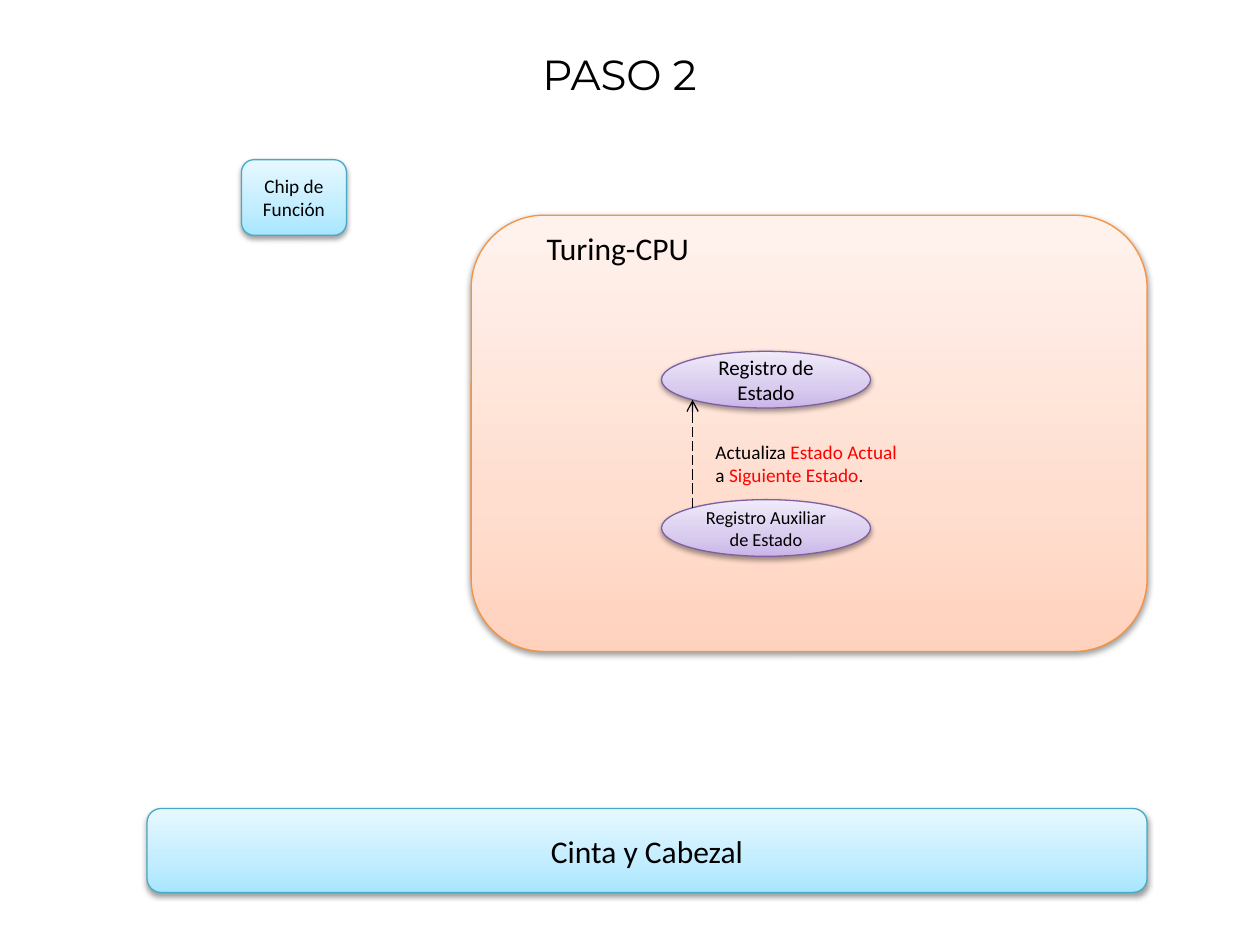
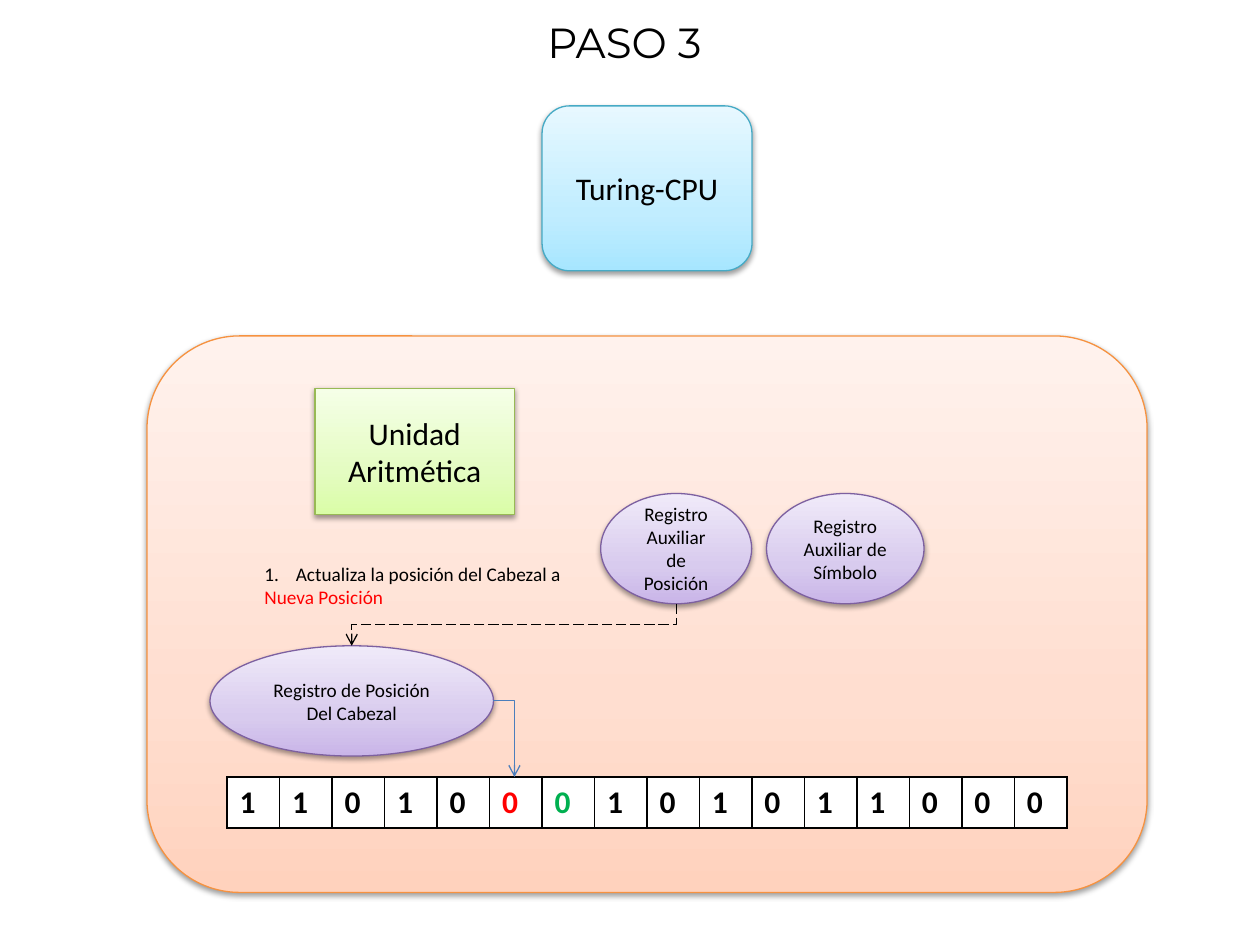
import copy
import pptx
import pptx.dml.color
import pptx.enum.dml
import pptx.enum.shapes
import pptx.enum.text
import pptx.oxml
import pptx.oxml.ns
import pptx.util
from lxml import etree

Pt = pptx.util.Pt
RGBColor = pptx.dml.color.RGBColor
Preset = pptx.enum.shapes.MSO_SHAPE
Link = pptx.enum.shapes.MSO_CONNECTOR
Align = pptx.enum.text.PP_ALIGN
Anchor = pptx.enum.text.MSO_ANCHOR
AutoSize = pptx.enum.text.MSO_AUTO_SIZE
LONG_DASH = pptx.enum.dml.MSO_LINE.LONG_DASH
qn = pptx.oxml.ns.qn

BLACK = RGBColor(0x00, 0x00, 0x00)
WHITE = RGBColor(0xFF, 0xFF, 0xFF)
RED = RGBColor(0xFF, 0x00, 0x00)
GREEN = RGBColor(0x00, 0xB0, 0x50)
ARROW_BLUE = RGBColor(0x4B, 0x7E, 0xBC)


def palette(*codes):
    return [RGBColor.from_string(code) for code in codes]


AQUA = palette("A7E6FF", "C1EDFF", "E7F8FF", "46AAC5")
ORANGE = palette("FFD2BD", "FFDED0", "FFF2ED", "F69240")
PURPLE = palette("C9B5E8", "D8CBEE", "F0EAF9", "7D60A0")
LIME = palette("DAFDA7", "E4FCC2", "F5FFE7", "98B955")
GRADIENT_POSITIONS = (0, 0.35, 1)

BODY_FONT = "Calibri"
TITLE_FONT = "Montserrat"


def points(values):
    return [Pt(value) for value in values]


def write(frame, paragraphs, size, font=BODY_FONT, align=Align.LEFT, bold=False):
    for index, pieces in enumerate(paragraphs):
        paragraph = frame.paragraphs[0] if index == 0 else frame.add_paragraph()
        paragraph.alignment = align
        for words, color in pieces:
            run = paragraph.add_run()
            run.text = words
            run.font.name = font
            run.font.size = Pt(size)
            run.font.bold = bold
            run.font.color.rgb = color


def add_shadow(shape):
    shape.shadow.inherit = False
    effects = shape._element.spPr.find(qn("a:effectLst"))
    outer = etree.SubElement(effects, qn("a:outerShdw"), blurRad=str(Pt(3.15)),
                             dist=str(Pt(1.57)), dir="5400000", rotWithShape="0")
    tint = etree.SubElement(outer, qn("a:srgbClr"), val="000000")
    etree.SubElement(tint, qn("a:alpha"), val="38000")


def add_block(slide, preset, box, colors, label="", size=18):
    block = slide.shapes.add_shape(preset, *points(box))
    block.fill.gradient()
    block.fill.gradient_angle = 90
    stop_list = block._element.spPr.find(".//" + qn("a:gsLst"))
    stop_list.append(copy.deepcopy(stop_list[-1]))
    for stop, position, color in zip(block.fill.gradient_stops, GRADIENT_POSITIONS, colors):
        stop.position = position
        stop.color.rgb = color
    block.line.color.rgb = colors[-1]
    block.line.width = Pt(0.75)
    add_shadow(block)
    if label:
        block.text_frame.word_wrap = True
        block.text_frame.vertical_anchor = Anchor.MIDDLE
        write(block.text_frame, [[(label, BLACK)]], size, align=Align.CENTER)


def add_label(slide, box, paragraphs, size, wrap=True, **style):
    label = slide.shapes.add_textbox(*points(box))
    label.text_frame.word_wrap = wrap
    label.text_frame.auto_size = AutoSize.SHAPE_TO_FIT_TEXT
    write(label.text_frame, paragraphs, size, **style)
    return label


def add_title(slide, left, top, words):
    add_label(slide, (left, top, 432, 36), [[(words, BLACK)]], 24,
              font=TITLE_FONT, align=Align.CENTER)


def add_arrow(slide, kind, ends, color, dashed=False):
    arrow = slide.shapes.add_connector(kind, *points(ends))
    arrow.line.color.rgb = color
    arrow.line.width = Pt(0.75)
    if dashed:
        arrow.line.dash_style = LONG_DASH
    properties = arrow._element.spPr
    etree.SubElement(properties.find(qn("a:ln")), qn("a:tailEnd"), type="arrow")
    etree.SubElement(properties, qn("a:effectLst"))
    return properties


def add_corner_arrow(slide, start, end):
    properties = add_arrow(slide, Link.ELBOW, (*start, *end), ARROW_BLUE)
    properties.find(qn("a:prstGeom")).set("prst", "bentConnector2")


def add_step_down_arrow(slide, start, end):
    center_x, center_y = (start[0] + end[0]) / 2, (start[1] + end[1]) / 2
    half_run, half_drop = (start[0] - end[0]) / 2, (end[1] - start[1]) / 2
    ends = (center_x - half_drop, center_y - half_run,
            center_x + half_drop, center_y + half_run)
    properties = add_arrow(slide, Link.ELBOW, ends, BLACK, dashed=True)
    properties.find(qn("a:xfrm")).set("rot", "5400000")


def add_state_cpu(slide, box):
    left, top, width, height = box
    add_block(slide, Preset.ROUNDED_RECTANGLE, box, ORANGE)
    add_label(slide, (left + 36, top + 4.5, 96.5, 29), [[("Turing-CPU", BLACK)]], 18, wrap=False)
    registers = (("Registro de Estado", 12, 77.75), ("Registro Auxiliar de Estado", 10.5, 162.5))
    for name, size, offset in registers:
        add_block(slide, Preset.OVAL, (left + 108.75, top + offset, 119.5, 32.4),
                  PURPLE, name, size)
    arrow_x = left + 126.5
    add_arrow(slide, Link.STRAIGHT, (arrow_x, top + 167.25, arrow_x, top + 105.5),
              BLACK, dashed=True)
    update = [
        [("Actualiza ", BLACK), ("Estado Actual ", RED)],
        [("a ", BLACK), ("Siguiente Estado", RED), (".", BLACK)],
    ]
    add_label(slide, (left + 132.5, top + 124.75, 131.5, 34), update, 11)


def add_tape(slide, box, symbols, highlights):
    tape = slide.shapes.add_table(1, len(symbols), *points(box)).table
    tape.first_row = False
    tape.horz_banding = False
    for index, symbol in enumerate(symbols):
        tape.columns[index].width = Pt(box[2] / len(symbols))
        cell = tape.cell(0, index)
        write(cell.text_frame, [[(symbol, highlights.get(index, BLACK))]], 18, bold=True)
        properties = cell._tc.get_or_add_tcPr()
        for side in ("lnL", "lnR", "lnT", "lnB"):
            border = etree.SubElement(properties, qn("a:" + side), w=str(Pt(1)))
            paint = etree.SubElement(border, qn("a:solidFill"))
            etree.SubElement(paint, qn("a:srgbClr"), val=str(BLACK))
        cell.fill.solid()
        cell.fill.fore_color.rgb = WHITE


def add_head_update(slide, box):
    update = [
        [("Actualiza la posición del Cabezal a", BLACK)],
        [("Nueva Posición", RED)],
    ]
    label = add_label(slide, box, update, 11)
    numbered = label.text_frame.paragraphs[0]._p.get_or_add_pPr()
    numbered.set("marL", str(Pt(18)))
    numbered.set("indent", str(-Pt(18)))
    etree.SubElement(numbered, qn("a:buAutoNum"), type="arabicPeriod")


def add_tape_and_head(slide, box):
    left, top, width, height = box
    add_block(slide, Preset.ROUNDED_RECTANGLE, box, ORANGE)
    tape_top = top + 252
    add_tape(slide, (left + 45.75, tape_top, 480, 29.25), "1101000101011000",
             {5: RED, 6: GREEN})
    add_block(slide, Preset.RECTANGLE, (left + 96, top + 30, 114, 72), LIME, "Unidad Aritmética")
    registers = (
        ("Registro de Posición Del Cabezal", 36, 177, 162),
        ("Registro Auxiliar de Posición", 259.25, 90, 86.25),
        ("Registro Auxiliar de Símbolo", 354, 90, 90),
    )
    for name, x, y, register_width in registers:
        add_block(slide, Preset.OVAL, (left + x, top + y, register_width, 63), PURPLE, name, 11)
    add_corner_arrow(slide, (left + 198, top + 208.25), (left + 210, tape_top))
    add_step_down_arrow(slide, (left + 302.4, top + 153), (left + 117, top + 177))
    add_head_update(slide, (left + 60, top + 125.5, 186, 34))


def build_step_two(slide):
    add_title(slide, 138, 24, "PASO 2")
    add_block(slide, Preset.ROUNDED_RECTANGLE, (138, 91.25, 60, 43.25), AQUA,
              "Chip de Función", 11)
    add_block(slide, Preset.ROUNDED_RECTANGLE, (84, 462, 571.5, 48), AQUA, "Cinta y Cabezal")
    add_state_cpu(slide, (269.25, 123, 386.25, 249.25))


def build_step_three(slide):
    add_tape_and_head(slide, (84, 192, 571.5, 318))
    add_block(slide, Preset.ROUNDED_RECTANGLE, (309.75, 60.5, 120, 94.25), AQUA, "Turing-CPU")
    add_title(slide, 144, 6, "PASO 3 ")


presentation = pptx.Presentation()
presentation.slide_width = Pt(720)
presentation.slide_height = Pt(540)
for build in (build_step_two, build_step_three):
    build(presentation.slides.add_slide(presentation.slide_layouts[6]))
presentation.save("out.pptx")
